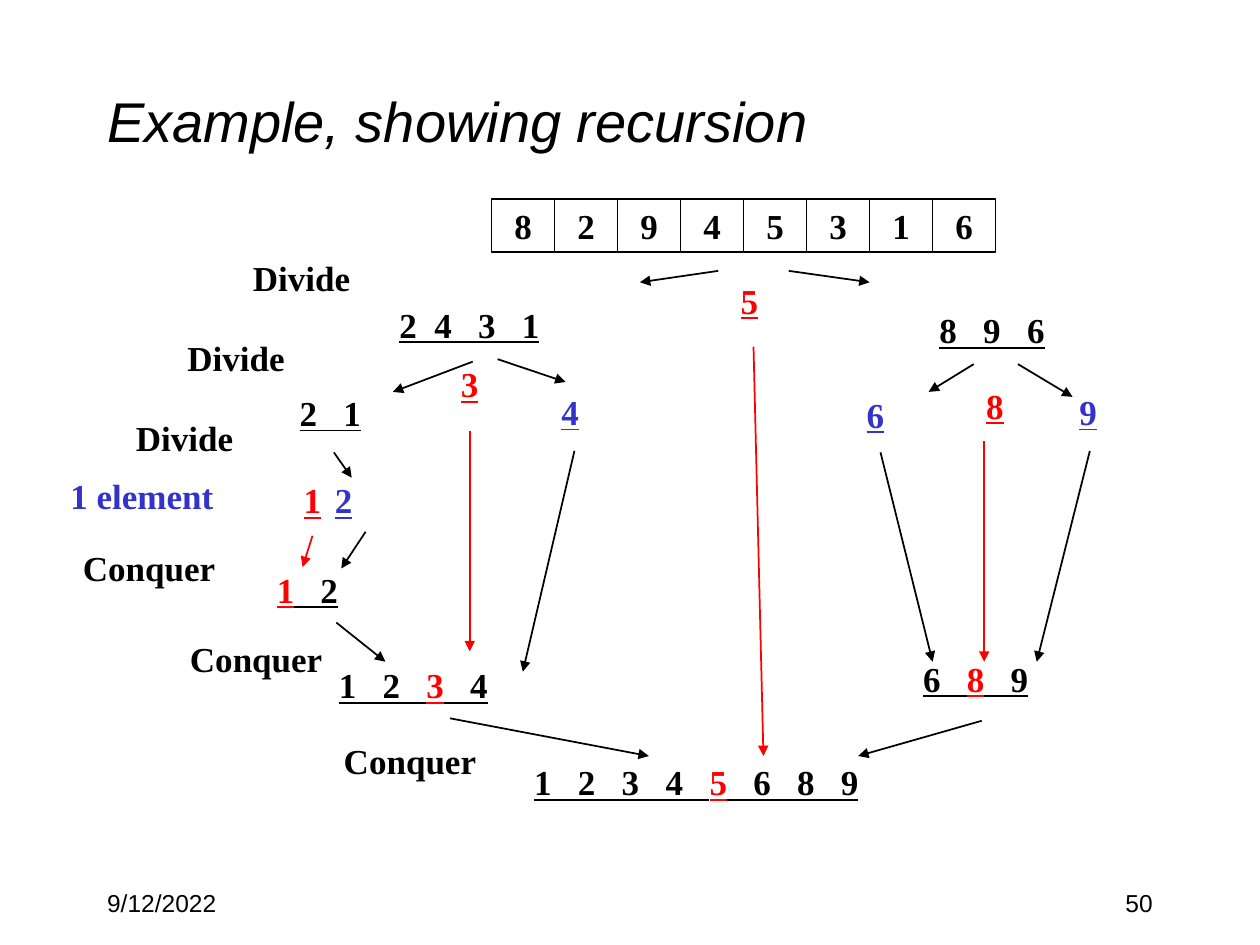
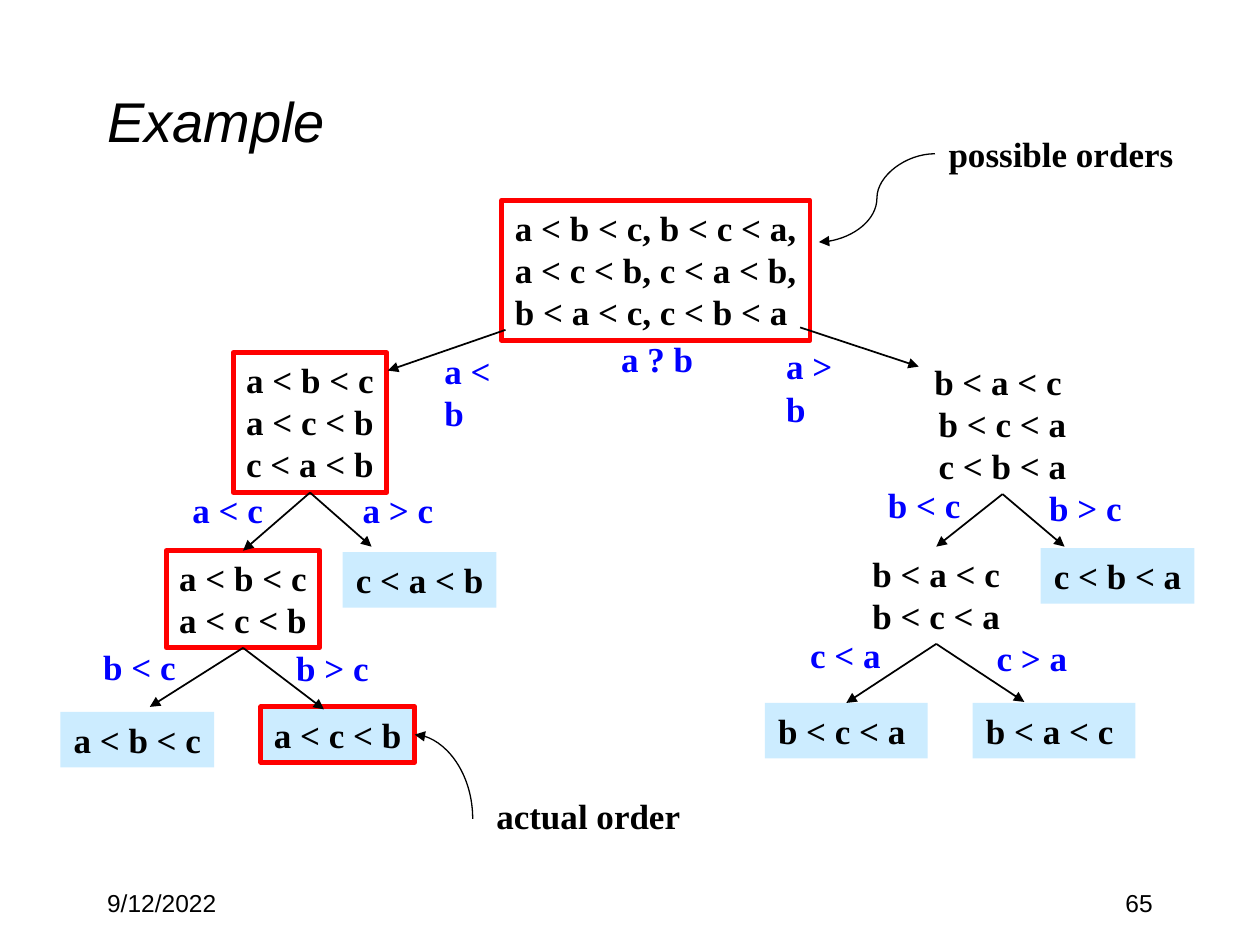
from lxml.etree import SubElement
from pptx import Presentation
from pptx.dml.color import RGBColor
from pptx.enum.shapes import MSO_CONNECTOR as Line, MSO_SHAPE as Preset
from pptx.enum.text import MSO_ANCHOR as Anchor, MSO_AUTO_SIZE as AutoSize, PP_ALIGN as Align
from pptx.oxml.ns import qn
from pptx.util import Cm, Pt

BLACK, WHITE, RED = "000000", "FFFFFF", "FF0000"
INDIGO, BLUE, PALE_BLUE = "3333CC", "0000FF", "CCECFF"
SANS, SERIF = "Arial", "Times New Roman"
TOP, BOTTOM, RIGHT = 0, 2, 3
LINE_HEIGHT = 1.12
DIGIT = 0.86


def color(value):
    return RGBColor.from_string(value)


def write(shape, text, *, font=SERIF, size=20, ink=BLACK, bold=True, italic=False,
          underline=False, align=Align.LEFT, anchor=Anchor.TOP, wrap=False,
          grow=True, highlight=None):
    frame = shape.text_frame
    frame.word_wrap = wrap
    frame.auto_size = AutoSize.SHAPE_TO_FIT_TEXT if grow else AutoSize.NONE
    frame.vertical_anchor = anchor
    for index, content in enumerate(text.split("\n")):
        paragraph = frame.paragraphs[0] if index == 0 else frame.add_paragraph()
        paragraph.alignment = align
        parts = content.partition(highlight) if highlight else [content]
        for part in filter(None, parts):
            run = paragraph.add_run()
            run.text = part
            run.font.name = font
            run.font.size = Pt(size)
            run.font.bold = bold
            run.font.italic = italic
            run.font.underline = underline
            run.font.color.rgb = color(RED if part == highlight else ink)


def add_text(slide, text, left, top, width, height=LINE_HEIGHT, **style):
    shape = slide.shapes.add_textbox(Cm(left), Cm(top), Cm(width), Cm(height))
    write(shape, text, **style)
    return shape


def add_box(slide, text, left, top, width, height=LINE_HEIGHT, *, fill=None,
            border=None, border_width=2.75, **style):
    shape = slide.shapes.add_shape(
        Preset.RECTANGLE, Cm(left), Cm(top), Cm(width), Cm(height))
    shape.shadow.inherit = False
    if fill:
        shape.fill.solid()
        shape.fill.fore_color.rgb = color(fill)
    else:
        shape.fill.background()
    if border:
        shape.line.color.rgb = color(border)
        shape.line.width = Pt(border_width)
    else:
        shape.line.fill.background()
    write(shape, text, align=Align.CENTER, **style)
    return shape


def add_arrow(slide, start, end, *, ink=BLACK, width=1, kind=Line.STRAIGHT, head="tailEnd"):
    connector = slide.shapes.add_connector(kind, *map(Cm, start), *map(Cm, end))
    connector.line.color.rgb = color(ink)
    connector.line.width = Pt(width)
    SubElement(connector.line._get_or_add_ln(), qn("a:" + head), type="triangle")
    SubElement(connector._element.spPr, qn("a:effectLst"))
    return connector


def add_branch(slide, parent, target):
    is_point = isinstance(target, tuple)
    connector = add_arrow(slide, (0, 0), target if is_point else (1, 1))
    connector.begin_connect(parent, BOTTOM)
    if not is_point:
        connector.end_connect(target, TOP)


def add_page(presentation, title, number):
    slide = presentation.slides.add_slide(presentation.slide_layouts[6])
    sans = dict(font=SANS, bold=False, wrap=True, grow=False)
    add_text(slide, title, 1.91, 0.84, 21.59, 3.18, size=32, italic=True,
             anchor=Anchor.MIDDLE, **sans)
    add_text(slide, "9/12/2022", 1.91, 17.78, 5.28, 1.27, size=14, **sans)
    add_text(slide, number, 18.21, 17.78, 5.28, 1.27, size=14, align=Align.RIGHT, **sans)
    return slide


def build_recursion(presentation):
    slide = add_page(presentation, "Example, showing recursion", "50")

    for index, digit in enumerate("82945316"):
        add_box(slide, digit, 9.91 + 1.27 * index, 4.01, 1.27, 1.07, border=BLACK,
                border_width=0.75, anchor=Anchor.MIDDLE, grow=False)

    sublists = [
        ("2  4   3   1", 7.8, 5.99, 3.35, None),
        ("8   9   6", 18.69, 6.1, 2.64, None),
        ("2   1", 5.79, 7.77, 1.75, None),
        ("1   2", 5.33, 11.33, 1.75, "1"),
        ("1   2   3   4", 6.58, 13.26, 3.51, "3"),
        ("6   8   9", 18.36, 13.13, 2.64, "8"),
        ("1   2   3   4   5   6   8   9", 10.52, 15.21, 7.04, "5"),
    ]
    for text, left, top, width, pivot in sublists:
        add_text(slide, text, left, top, width, underline=True, highlight=pivot)

    single_elements = [("2", 6.5, 9.53), ("4", 11.07, 7.75),
                       ("6", 17.22, 7.8), ("9", 21.51, 7.75)]
    pivots = [("5", 14.68, 5.51), ("3", 9.04, 7.19),
              ("8", 19.63, 7.62), ("1", 5.87, 9.53)]
    for digits, ink in ((single_elements, INDIGO), (pivots, RED)):
        for digit, left, top in digits:
            add_text(slide, digit, left, top, DIGIT, ink=ink, underline=True)

    for left, top in ((4.85, 5.05), (3.53, 6.65), (2.49, 8.28)):
        add_text(slide, "Divide", left, top, 2.49)
    for left, top in ((1.42, 10.9), (3.58, 12.73), (6.68, 14.78)):
        add_text(slide, "Conquer", left, top, 3.2)
    add_text(slide, "1 element", 1.17, 9.45, 3.4, ink=INDIGO)

    divide_arrows = [
        ((14.48, 5.46), (12.9, 5.69)),
        ((15.9, 5.46), (17.53, 5.69)),
        ((9.53, 7.29), (7.92, 7.9)),
        ((10.03, 7.24), (11.4, 7.7)),
        ((19.63, 7.34), (18.72, 7.9)),
        ((20.52, 7.34), (21.62, 8)),
        ((6.73, 9.12), (7.09, 9.63)),
    ]
    conquer_arrows = [
        ((17.75, 9.12), (18.8, 13.34)),
        ((21.97, 9.09), (20.9, 13.34)),
        ((7.37, 10.72), (6.88, 11.46)),
        ((6.78, 12.55), (7.77, 13.34)),
        ((11.58, 9.09), (10.54, 13.54)),
        ((9.07, 14.48), (13.08, 15.24)),
        ((19.79, 14.53), (17.3, 15.24)),
    ]
    pivot_arrows = [
        ((6.3, 10.8), (6.1, 11.43)),
        ((9.47, 8.69), (9.47, 13.13)),
        ((15.19, 6.99), (15.39, 15.24)),
        ((19.84, 8.89), (19.84, 13.34)),
    ]
    for start, end in divide_arrows + conquer_arrows:
        add_arrow(slide, start, end)
    for start, end in pivot_arrows:
        add_arrow(slide, start, end, ink=RED)


def build_decision_tree(presentation):
    slide = add_page(presentation, "Example", "65")

    chosen = dict(fill=WHITE, border=RED)
    all_orders = "a < b < c, b < c < a,\na < c < b, c < a < b,\nb < a < c, c < b < a "
    add_box(slide, all_orders, 10.11, 4.04, 6.22, 2.82, **chosen)
    left_three = add_box(slide, "a < b < c\na < c < b\nc < a < b",
                         4.7, 7.11, 3.1, 2.82, **chosen)
    right_three = add_box(slide, "b < a < c \nb < c < a\nc < b < a",
                          18.57, 7.14, 3.28, 2.82, fill=WHITE)
    left_pair = add_box(slide, "a < b < c\na < c < b", 3.35, 11.1, 3.1, 1.96, **chosen)
    right_pair = add_box(slide, " b < a < c \nb < c < a",
                         17.15, 11.02, 3.45, 1.96, fill=WHITE)

    add_box(slide, "c < a < b", 6.91, 11.13, 3.1, fill=PALE_BLUE)
    add_box(slide, "c < b < a", 20.98, 11.05, 3.1, fill=PALE_BLUE)
    add_box(slide, "a < b < c", 1.22, 14.35, 3.1, fill=PALE_BLUE)
    actual = add_box(slide, "a < c < b", 5.26, 14.25, 3.1, fill=PALE_BLUE, border=RED)
    bca_leaf = add_box(slide, "b < c < a ", 15.42, 14.17, 3.28, fill=PALE_BLUE)
    add_box(slide, "b < a < c ", 19.61, 14.17, 3.28, fill=PALE_BLUE)

    add_arrow(slide, (10.19, 6.65), (7.82, 7.47))
    add_arrow(slide, (16.13, 6.6), (18.52, 7.39))
    branches = [
        (left_three, left_pair), (left_three, (7.49, 11.02)),
        (left_pair, (3.02, 14.25)), (left_pair, (6.53, 14.3)),
        (right_three, right_pair), (right_three, (21.46, 11.02)),
        (right_pair, bca_leaf), (right_pair, (20.65, 14.15)),
    ]
    for parent, target in branches:
        add_branch(slide, parent, target)

    comparisons = [
        ("a ? b", 12.27, 6.68), ("a < b", 8.71, 6.93), ("a > b", 15.6, 6.83),
        ("a < c", 3.63, 9.73), ("a > c", 7.06, 9.73),
        ("b < c", 1.83, 12.88), ("b > c", 5.72, 12.9),
        ("b < c", 17.65, 9.63), ("b > c", 20.9, 9.68),
        ("c < a", 16.08, 12.65), ("c > a", 19.84, 12.7),
    ]
    for text, left, top in comparisons:
        add_text(slide, text, left, top, 2, ink=BLUE)

    for text, left, top in (("possible orders", 18.85, 2.54), ("actual order", 9.32, 15.88)):
        add_text(slide, text, left, top, 5.08, align=Align.CENTER,
                 anchor=Anchor.MIDDLE, wrap=True)
    add_arrow(slide, (18.85, 3.1), (16.51, 4.88), width=0.75, kind=Line.CURVE)
    actual_pointer = add_arrow(slide, (8.36, 14.81), (9.53, 16.51), width=0.75,
                               kind=Line.CURVE, head="headEnd")
    actual_pointer._element.spPr.find(qn("a:prstGeom")).set("prst", "curvedConnector2")
    actual_pointer.begin_connect(actual, RIGHT)


def main():
    presentation = Presentation()
    presentation.slide_width = Cm(25.4)
    presentation.slide_height = Cm(19.05)
    build_recursion(presentation)
    build_decision_tree(presentation)
    presentation.save("out.pptx")


if __name__ == "__main__":
    main()
